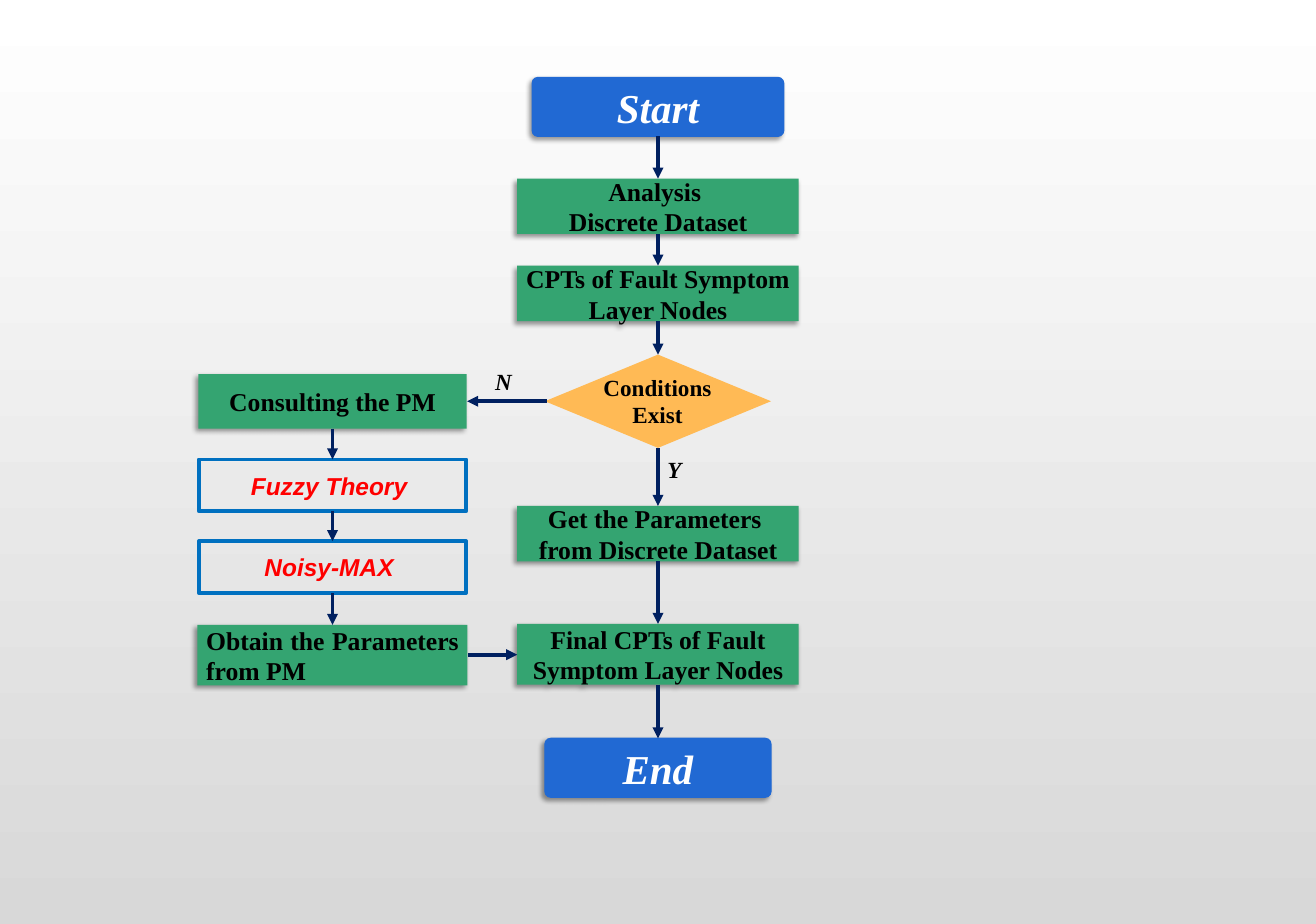
from lxml import etree
from pptx import Presentation
from pptx.dml.color import RGBColor
from pptx.enum.shapes import MSO_CONNECTOR, MSO_SHAPE
from pptx.enum.text import MSO_ANCHOR, PP_ALIGN
from pptx.oxml import parse_xml
from pptx.oxml.ns import nsdecls, qn
from pptx.util import Inches, Pt

SERIF = "Times New Roman"
MAIN_CENTER = 7.48
SIDE_CENTER = 3.78
BLUE, GREEN, ORANGE, NAVY = "2169D3", "34A471", "FFBA55", "002060"


def color(hex_code):
    """Return the colour for a hex string."""
    return RGBColor.from_string(hex_code)


def paint_background(slide):
    """Fill the slide with a gradient from white down to grey."""
    fill = slide.background.fill
    fill.gradient()
    fill.gradient_angle = 270
    for stop, hex_code in zip(fill.gradient_stops, ("FFFFFF", "D8D8D8")):
        stop.color.rgb = color(hex_code)


def add_shadow(shape):
    """Give a shape a soft shadow towards the lower left."""
    properties = shape._element.spPr
    properties.remove(properties.find(qn("a:effectLst")))
    properties.append(parse_xml(
        f'<a:effectLst {nsdecls("a")}><a:outerShdw blurRad="{Pt(4)}" dist="{Pt(3)}" '
        'dir="8100000" algn="tr" rotWithShape="0"><a:srgbClr val="000000">'
        '<a:alpha val="40000"/></a:srgbClr></a:outerShdw></a:effectLst>'))


def write_text(shape, lines, size, hex_code="000000", font_name=SERIF, italic=False,
               align=PP_ALIGN.CENTER, anchor=MSO_ANCHOR.MIDDLE):
    """Write bold lines into a shape, one paragraph each."""
    frame = shape.text_frame
    frame.word_wrap = True
    frame.vertical_anchor = anchor
    for index, line in enumerate(lines):
        paragraph = frame.add_paragraph() if index else frame.paragraphs[0]
        paragraph.alignment = align
        run = paragraph.add_run()
        run.text = line
        font = run.font
        font.name, font.size = font_name, Pt(size)
        font.bold, font.italic = True, italic
        font.color.rgb = color(hex_code)


def add_block(shapes, kind, center, top, width, height, fill=None, line=None, line_width=1):
    """Add a preset shape centred on a column."""
    shape = shapes.add_shape(kind, Inches(center - width / 2), Inches(top),
                             Inches(width), Inches(height))
    shape.shadow.inherit = False
    if fill:
        shape.fill.solid()
        shape.fill.fore_color.rgb = color(fill)
    else:
        shape.fill.background()
    if line:
        shape.line.color.rgb = color(line)
        shape.line.width = Pt(line_width)
    else:
        shape.line.fill.background()
    return shape


def add_terminal(slide, text, top, width):
    """Add a rounded start or end block."""
    shape = add_block(slide.shapes, MSO_SHAPE.ROUNDED_RECTANGLE, MAIN_CENTER, top,
                      width, 0.67, BLUE, BLUE)
    shape.adjustments[0] = 0.1
    add_shadow(shape)
    write_text(shape, [text], 33.6, "FFFFFF", italic=True)


def add_step(slide, lines, center, top, width, height, align=PP_ALIGN.CENTER):
    """Add a green process step."""
    shape = add_block(slide.shapes, MSO_SHAPE.RECTANGLE, center, top, width, height, GREEN)
    add_shadow(shape)
    write_text(shape, lines, 21, align=align)


def add_method(slide, text, top):
    """Add an outlined method box to the side column."""
    shape = add_block(slide.shapes, MSO_SHAPE.RECTANGLE, SIDE_CENTER, top, 3.04, 0.59,
                      line="0070C0", line_width=3)
    write_text(shape, [text], 20, "FF0000", "Arial", italic=True)


def add_label(shapes, lines, left, top, width, height, italic=False):
    """Add a text box."""
    box = shapes.add_textbox(Inches(left), Inches(top), Inches(width), Inches(height))
    write_text(box, lines, 18.9, italic=italic, anchor=MSO_ANCHOR.TOP)


def add_decision(slide):
    """Add the decision diamond grouped with its text."""
    group = slide.shapes.add_group_shape()
    add_block(group.shapes, MSO_SHAPE.FLOWCHART_DECISION, MAIN_CENTER, 4.03, 2.57, 1.06, ORANGE)
    add_label(group.shapes, ["Conditions ", "Exist"], 6.74, 4.19, 1.47, 0.73)


def add_arrow(slide, start, end):
    """Add a straight arrow between two points."""
    connector = slide.shapes.add_connector(
        MSO_CONNECTOR.STRAIGHT, *(Inches(value) for value in (*start, *end)))
    connector.line.color.rgb = color(NAVY)
    connector.line.width = Pt(3)
    etree.SubElement(connector.line._get_or_add_ln(), qn("a:tailEnd"), type="triangle")
    etree.SubElement(connector._element.spPr, qn("a:effectLst"))


def main():
    """Build the flowchart slide."""
    presentation = Presentation()
    presentation.slide_width, presentation.slide_height = Inches(14.96), Inches(10.5)
    slide = presentation.slides.add_slide(presentation.slide_layouts[6])
    paint_background(slide)

    add_terminal(slide, "Start", 0.88, 2.86)
    add_terminal(slide, "End", 8.39, 2.57)
    for lines, top, height in (
        (["Analysis ", "Discrete Dataset"], 2.03, 0.63),
        (["CPTs of Fault Symptom Layer Nodes"], 3.02, 0.63),
        (["Get the Parameters ", "from Discrete Dataset"], 5.75, 0.63),
        (["Final CPTs of Fault Symptom Layer Nodes"], 7.09, 0.69),
    ):
        add_step(slide, lines, MAIN_CENTER, top, 3.2, height)
    add_decision(slide)

    add_step(slide, ["Consulting the PM"], SIDE_CENTER, 4.25, 3.05, 0.62)
    add_method(slide, "Fuzzy Theory ", 5.22)
    add_method(slide, "Noisy-MAX ", 6.15)
    add_step(slide, ["Obtain the Parameters from PM"], SIDE_CENTER, 7.1, 3.07, 0.69,
             PP_ALIGN.JUSTIFY)

    add_label(slide.shapes, ["N "], 5.31, 4.12, 0.89, 0.42, italic=True)
    add_label(slide.shapes, ["Y "], 7.25, 5.13, 0.89, 0.42, italic=True)

    main_spans = ((1.55, 2.03), (2.66, 3.02), (3.65, 4.03), (5.09, 5.75), (6.38, 7.09), (7.78, 8.39))
    side_spans = ((4.87, 5.22), (5.81, 6.15), (6.74, 7.1))
    for center, spans in ((MAIN_CENTER, main_spans), (SIDE_CENTER, side_spans)):
        for top, bottom in spans:
            add_arrow(slide, (center, top), (center, bottom))
    add_arrow(slide, (6.22, 4.56), (5.31, 4.56))
    add_arrow(slide, (5.32, 7.44), (5.88, 7.44))

    presentation.save("out.pptx")


if __name__ == "__main__":
    main()
